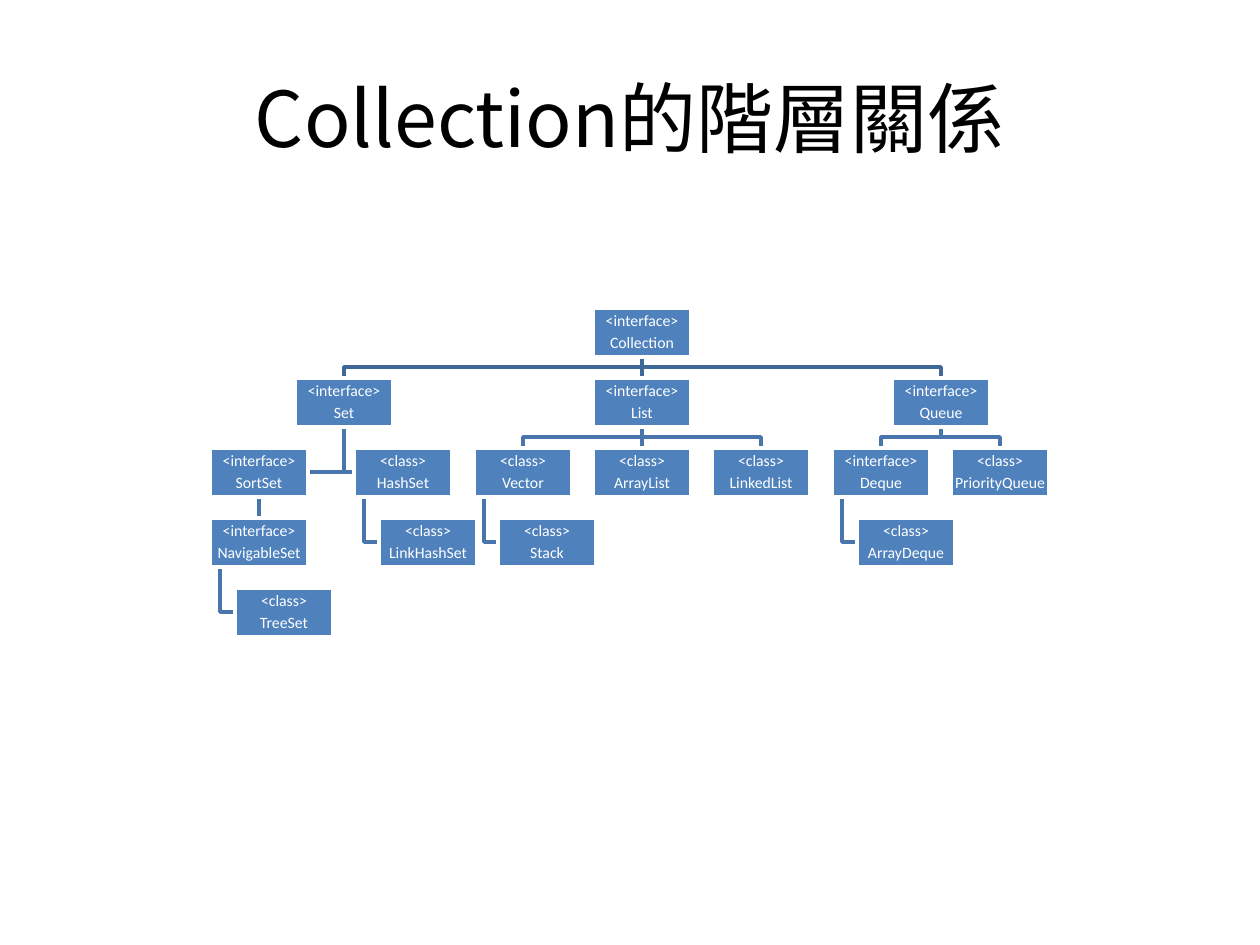
from dataclasses import dataclass
from enum import Enum

from lxml.etree import SubElement
from pptx import Presentation
from pptx.dml.color import RGBColor
from pptx.enum.shapes import MSO_CONNECTOR, MSO_SHAPE
from pptx.enum.text import MSO_ANCHOR, PP_ALIGN
from pptx.oxml.ns import qn
from pptx.util import Emu, Pt

PX = 914400 // 126
BOX_W, BOX_H = 98, 49
FIRST_TOP, LEVEL_STEP = 308, 70
HANG_INSET = 10


@dataclass(frozen=True)
class Theme:
    box: RGBColor = RGBColor(0x4F, 0x81, 0xBD)
    white: RGBColor = RGBColor(0xFF, 0xFF, 0xFF)
    black: RGBColor = RGBColor(0, 0, 0)
    root_link: RGBColor = RGBColor(0x3F, 0x67, 0x97)
    link: RGBColor = RGBColor(0x48, 0x75, 0xAC)
    title_font: str = "Noto Sans CJK SC"
    box_font: str = "Calibri"
    title_size: Pt = Pt(44)
    box_size: Pt = Pt(9)
    line: Pt = Pt(2)


class Link(Enum):
    FORK = "fork"
    SIDE = "side"
    HANG = "hang"


@dataclass(frozen=True)
class Node:
    name: str
    kind: str
    left: int
    level: int
    parent: str = ""
    link: Link = Link.FORK

    @property
    def top(self) -> int:
        return FIRST_TOP + LEVEL_STEP * self.level

    @property
    def bottom(self) -> int:
        return self.top + BOX_H

    @property
    def center(self) -> int:
        return self.left + BOX_W // 2

    @property
    def middle(self) -> int:
        return self.top + BOX_H // 2


THEME = Theme()
NODES = [
    Node("Collection", "interface", 593, 0),
    Node("Set", "interface", 295, 1, "Collection"),
    Node("SortSet", "interface", 210, 2, "Set", Link.SIDE),
    Node("NavigableSet", "interface", 210, 3, "SortSet"),
    Node("TreeSet", "class", 235, 4, "NavigableSet", Link.HANG),
    Node("HashSet", "class", 354, 2, "Set", Link.SIDE),
    Node("LinkHashSet", "class", 379, 3, "HashSet", Link.HANG),
    Node("List", "interface", 593, 1, "Collection"),
    Node("Vector", "class", 474, 2, "List"),
    Node("Stack", "class", 498, 3, "Vector", Link.HANG),
    Node("ArrayList", "class", 593, 2, "List"),
    Node("LinkedList", "class", 712, 2, "List"),
    Node("Queue", "interface", 892, 1, "Collection"),
    Node("Deque", "interface", 832, 2, "Queue"),
    Node("ArrayDeque", "class", 857, 3, "Deque", Link.HANG),
    Node("PriorityQueue", "class", 951, 2, "Queue"),
]


def px(n: int) -> Emu:
    return Emu(n * PX)


def link_points(parent: Node, child: Node) -> list[tuple[int, int]]:
    if child.link is Link.FORK:
        start, end = (parent.center, parent.bottom), (child.center, child.top)
        if parent.center == child.center:
            return [start, end]
        bar = (parent.bottom + child.top) // 2
        return [start, (parent.center, bar), (child.center, bar), end]
    x = parent.left + HANG_INSET if child.link is Link.HANG else parent.center
    edge = child.left if child.left > x else child.left + BOX_W
    return [(x, parent.bottom), (x, child.middle), (edge, child.middle)]


def add_link(slide, parent: Node, child: Node) -> None:
    points = [(px(x), px(y)) for x, y in link_points(parent, child)]
    if len(points) == 2:
        s = slide.shapes.add_connector(MSO_CONNECTOR.STRAIGHT, *points[0], *points[1])
        SubElement(s._element.spPr, qn("a:effectLst"))
    else:
        path = slide.shapes.build_freeform(*points[0])
        path.add_line_segments(points[1:], close=False)
        s = path.convert_to_shape()
        s.fill.background()
        s.shadow.inherit = False
    s.line.color.rgb = THEME.link if parent.parent else THEME.root_link
    s.line.width = THEME.line


def add_node(slide, node: Node) -> None:
    s = slide.shapes.add_shape(
        MSO_SHAPE.RECTANGLE, px(node.left), px(node.top), px(BOX_W), px(BOX_H)
    )
    s.shadow.inherit = False
    s.fill.solid()
    s.fill.fore_color.rgb = THEME.box
    s.line.color.rgb = THEME.white
    s.line.width = THEME.line
    tf = s.text_frame
    tf.word_wrap = True
    tf.vertical_anchor = MSO_ANCHOR.MIDDLE
    tf.margin_left = tf.margin_right = tf.margin_top = tf.margin_bottom = px(1)
    tf.text = f"<{node.kind}>\n{node.name}"
    for p in tf.paragraphs:
        p.alignment = PP_ALIGN.CENTER
        p.line_spacing = 0.9
        p.space_after = Pt(3)
        p.font.name = THEME.box_font
        p.font.size = THEME.box_size
        p.font.color.rgb = THEME.white


def add_title(slide, text: str) -> None:
    tf = slide.shapes.add_textbox(px(63), px(38), px(1134), px(157)).text_frame
    tf.word_wrap = True
    tf.vertical_anchor = MSO_ANCHOR.MIDDLE
    p = tf.paragraphs[0]
    p.alignment = PP_ALIGN.CENTER
    r = p.add_run()
    r.text = text
    r.font.name = THEME.title_font
    r.font.size = THEME.title_size
    r.font.color.rgb = THEME.black
    SubElement(r.font._element, qn("a:ea"), typeface=THEME.title_font)


def main() -> None:
    prs = Presentation()
    prs.slide_width, prs.slide_height = px(1260), px(945)
    slide = prs.slides.add_slide(prs.slide_layouts[6])
    add_title(slide, "Collection的階層關係")
    by_name = {node.name: node for node in NODES}
    for node in reversed(NODES):
        if node.parent:
            add_link(slide, by_name[node.parent], node)
    for node in NODES:
        add_node(slide, node)
    prs.save("out.pptx")


main()
